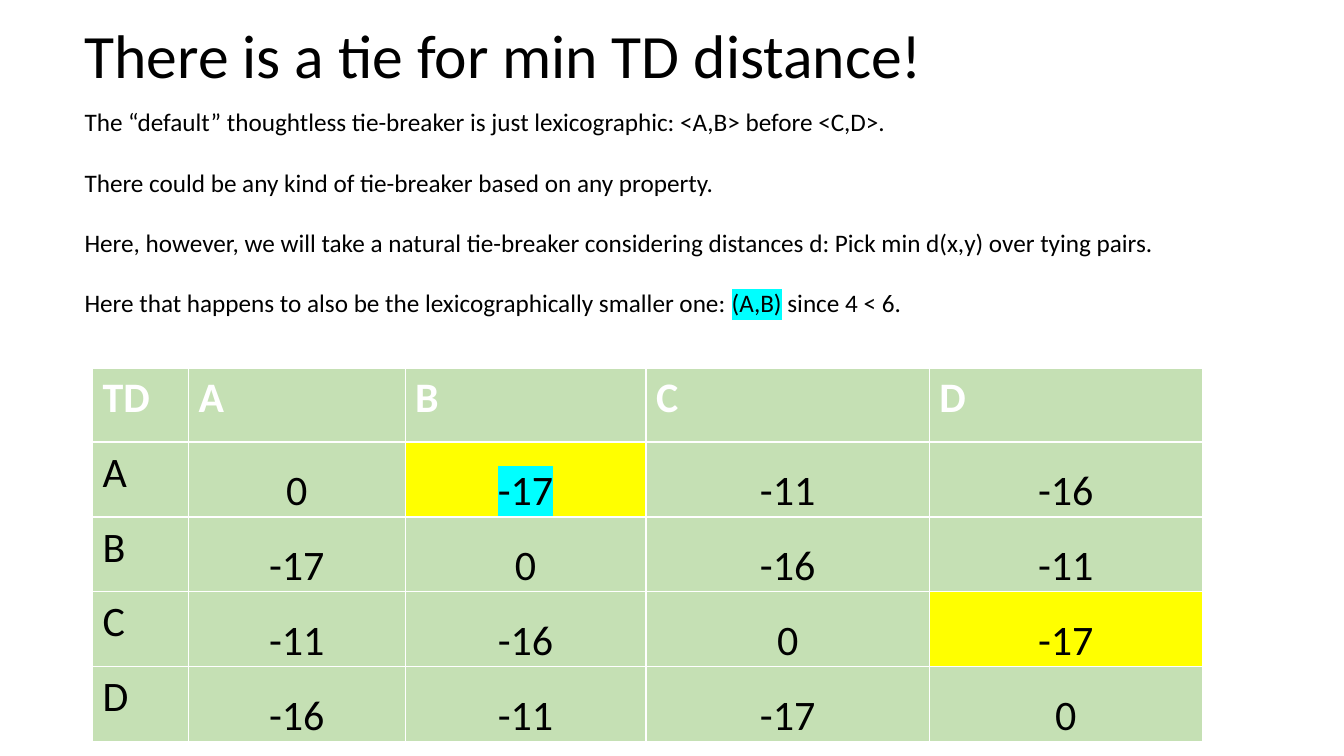
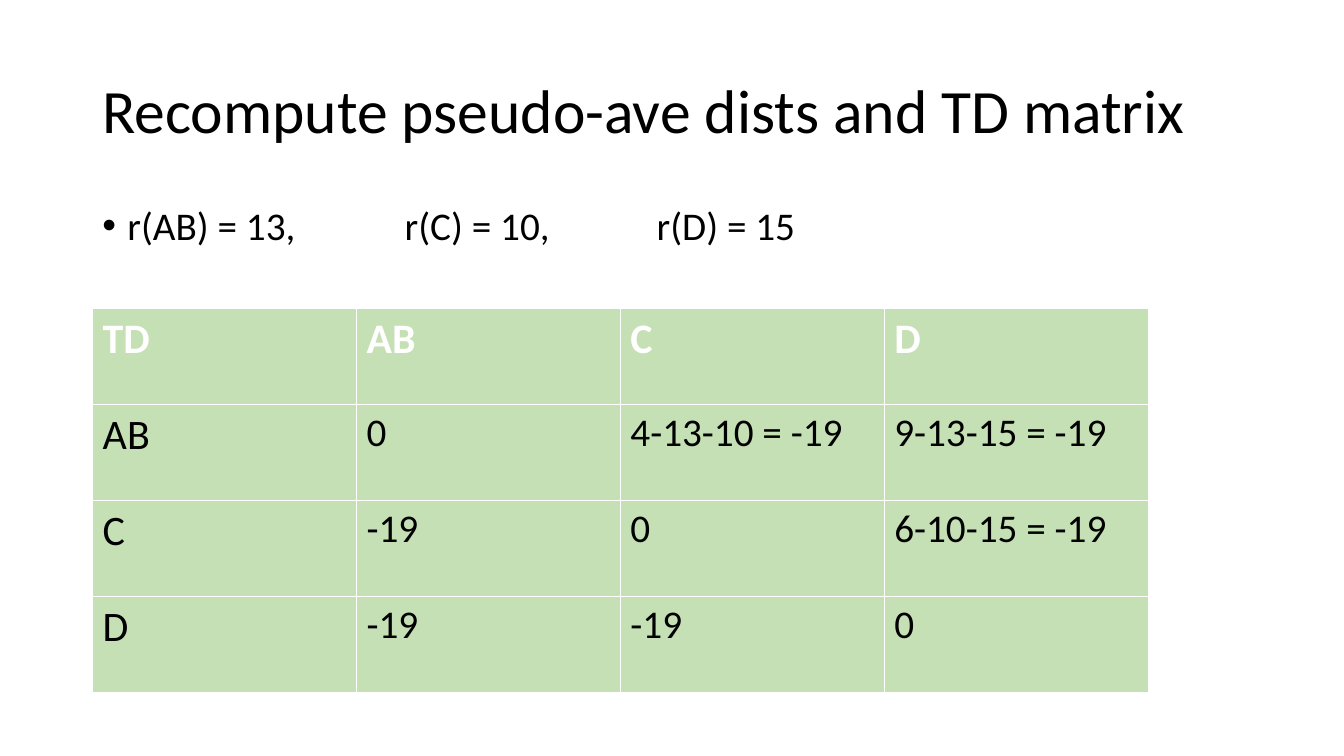
import pptx
import pptx.util
import pptx.dml.color
import pptx.enum.text
import pptx.oxml.ns
import pptx.oxml.xmlchemy
import lxml.etree
from dataclasses import dataclass

Pt = pptx.util.Pt
Anchor = pptx.enum.text.MSO_ANCHOR
Align = pptx.enum.text.PP_ALIGN
qn = pptx.oxml.ns.qn


@dataclass(frozen=True)
class Theme:
    font: str = "Calibri"
    ink: str = "000000"
    header_ink: str = "FFFFFF"
    cell: str = "C5E0B4"
    minimum: str = "FFFF00"
    marker: str = "00FFFF"
    title_size: int = 44
    label_size: int = 30
    body_size: int = 28
    note_size: int = 18


THEME = Theme()

TIE_SLIDE = {
    "title": ("There is a tie for min TD distance!", (53.3, 10, 828, 63.4)),
    "text": {
        "box": (53.3, 72.7, 802.8, 159.8),
        "size": THEME.note_size,
        "format": {"space_after": Pt(21.5)},
        "paragraphs": [
            [("The “default” thoughtless tie-breaker is just lexicographic: <A,B> before <C,D>.", False)],
            [("There could be any kind of tie-breaker based on any property.", False)],
            [("Here, however, we will take a natural tie-breaker considering distances d: "
              "Pick min d(x,y) over tying pairs.", False)],
            [("Here that happens to also be the lexicographically smaller one: ", False),
             ("(A,B)", True), (" since 4 < 6.", False)],
        ],
    },
    "table": {
        "left_top": (66.2, 262.8),
        "columns": [68.4, 154.8, 172.1, 202.3, 195.1],
        "rows": [53] + [53.5] * 4,
        "cells": [
            ["TD", "A", "B", "C", "D"],
            ["A", "0", "-17", "-11", "-16"],
            ["B", "-17", "0", "-16", "-11"],
            ["C", "-11", "-16", "0", "-17"],
            ["D", "-16", "-11", "-17", "0"],
        ],
        "minimums": {(1, 2), (3, 4)},
        "chosen": {(1, 2)},
        "value_size": THEME.label_size,
        "value_format": {
            "vertical_anchor": Anchor.BOTTOM,
            "margin_left": Pt(0.75),
            "margin_top": Pt(0.75),
            "margin_right": Pt(0.75),
            "margin_bottom": Pt(0),
        },
        "value_align": Align.CENTER,
    },
}

RECOMPUTE_SLIDE = {
    "title": ("Recompute pseudo-ave dists and TD matrix", (66, 28.8, 828, 104.4)),
    "text": {
        "box": (66, 144, 828, 49),
        "size": THEME.body_size,
        "format": {"line_spacing": 0.9, "space_before": Pt(10)},
        "bullet": "•",
        "paragraphs": [
            [("\t\t\t".join(["r(AB) = 13,", "r(C) = 10,", "r(D) = 15"]), False)],
        ],
    },
    "table": {
        "left_top": (66.2, 220.3),
        "columns": [188.5] * 4,
        "rows": [68.6] * 4,
        "cells": [
            ["TD", "AB", "C", "D"],
            ["AB", "0", "4-13-10 = -19", "9-13-15 = -19"],
            ["C", "-19", "0", "6-10-15 = -19"],
            ["D", "-19", "-19", "0"],
        ],
        "minimums": set(),
        "chosen": set(),
        "value_size": THEME.body_size,
        "value_format": {},
        "value_align": Align.LEFT,
    },
}


def apply_format(target, values):
    for name, value in values.items():
        setattr(target, name, value)


def rgb(color):
    return pptx.dml.color.RGBColor.from_string(color)


def add_run(paragraph, text, size, color=THEME.ink, bold=False, marked=False):
    run = paragraph.add_run()
    run.text = text
    apply_format(run.font, {"size": Pt(size), "bold": bold, "name": THEME.font})
    run.font.color.rgb = rgb(color)
    if marked:
        highlight = lxml.etree.Element(qn("a:highlight"))
        lxml.etree.SubElement(highlight, qn("a:srgbClr"), val=THEME.marker)
        run.font.fill
        run._r.find(qn("a:rPr")).find(qn("a:solidFill")).addnext(highlight)


def add_bullet(paragraph, character):
    properties = paragraph._p.get_or_add_pPr()
    properties.set("marL", str(Pt(18)))
    properties.set("indent", str(-Pt(18)))
    lxml.etree.SubElement(properties, qn("a:buFont"), typeface="Arial")
    lxml.etree.SubElement(properties, qn("a:buChar"), char=character)


def add_text(slide, box, paragraphs, size, paragraph_format, anchor=Anchor.TOP, bullet=None):
    frame = slide.shapes.add_textbox(*map(Pt, box)).text_frame
    apply_format(frame, {"word_wrap": True, "vertical_anchor": anchor})
    for index, runs in enumerate(paragraphs):
        paragraph = frame.add_paragraph() if index else frame.paragraphs[0]
        apply_format(paragraph, paragraph_format)
        if bullet:
            add_bullet(paragraph, bullet)
        for text, marked in runs:
            add_run(paragraph, text, size, marked=marked)


def add_matrix(slide, matrix):
    columns, rows = matrix["columns"], matrix["rows"]
    size = (sum(columns), sum(rows))
    table = slide.shapes.add_table(
        len(rows), len(columns), *map(Pt, matrix["left_top"] + size)).table
    for column, width in zip(table.columns, columns):
        column.width = Pt(width)
    for row, height in zip(table.rows, rows):
        row.height = Pt(height)
    for row_index, texts in enumerate(matrix["cells"]):
        for column_index, text in enumerate(texts):
            place = (row_index, column_index)
            cell = table.cell(*place)
            paragraph = cell.text_frame.paragraphs[0]
            is_header = row_index == 0
            is_value = row_index > 0 and column_index > 0
            cell.fill.solid()
            cell.fill.fore_color.rgb = rgb(
                THEME.minimum if place in matrix["minimums"] else THEME.cell)
            if is_value:
                apply_format(cell, matrix["value_format"])
                paragraph.alignment = matrix["value_align"]
            add_run(
                paragraph, text,
                matrix["value_size"] if is_value else THEME.label_size,
                color=THEME.header_ink if is_header else THEME.ink,
                bold=is_header, marked=place in matrix["chosen"])


def add_slide(presentation, content):
    slide = presentation.slides.add_slide(presentation.slide_layouts[6])
    title, title_box = content["title"]
    add_text(slide, title_box, [[(title, False)]], THEME.title_size,
             {"line_spacing": 0.9}, Anchor.MIDDLE)
    text = content["text"]
    add_text(slide, text["box"], text["paragraphs"], text["size"],
             text["format"], bullet=text.get("bullet"))
    add_matrix(slide, content["table"])


def main():
    presentation = pptx.Presentation()
    apply_format(presentation, {"slide_width": Pt(960), "slide_height": Pt(540)})
    for content in (TIE_SLIDE, RECOMPUTE_SLIDE):
        add_slide(presentation, content)
    presentation.save("out.pptx")


if __name__ == "__main__":
    main()
